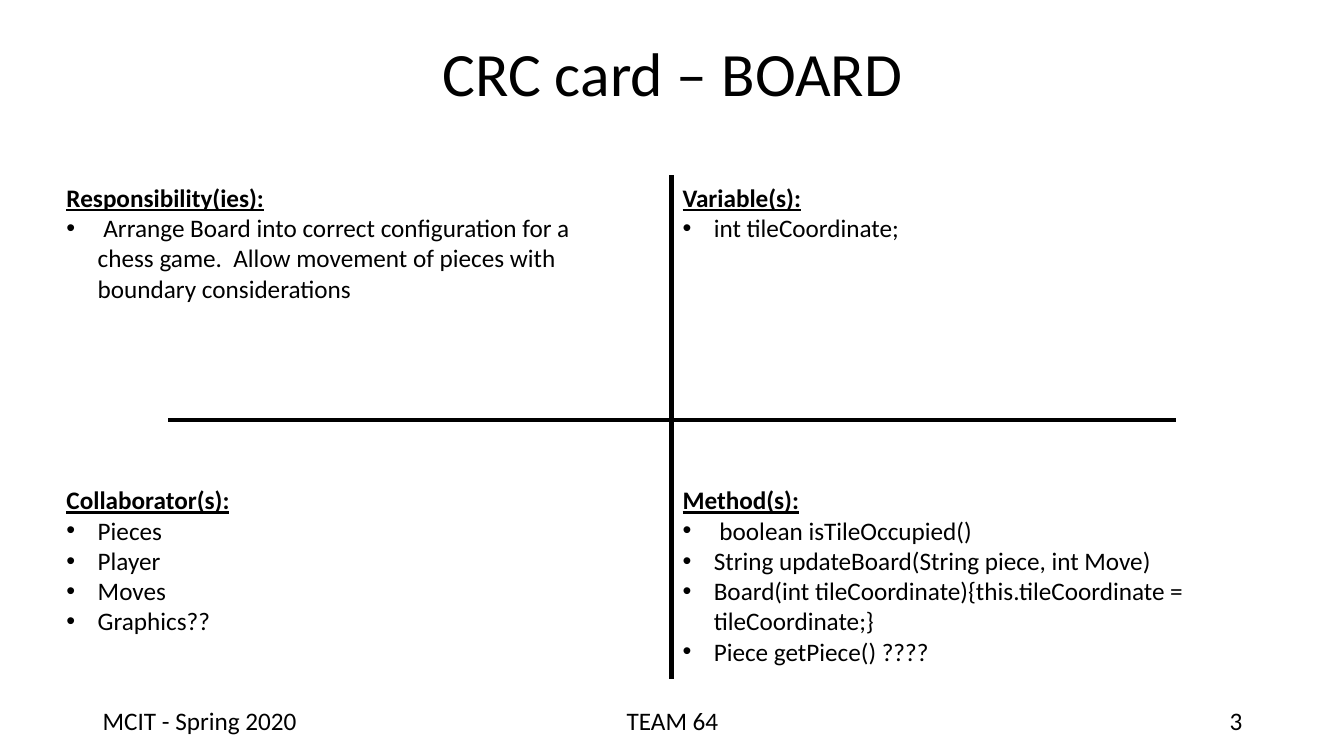
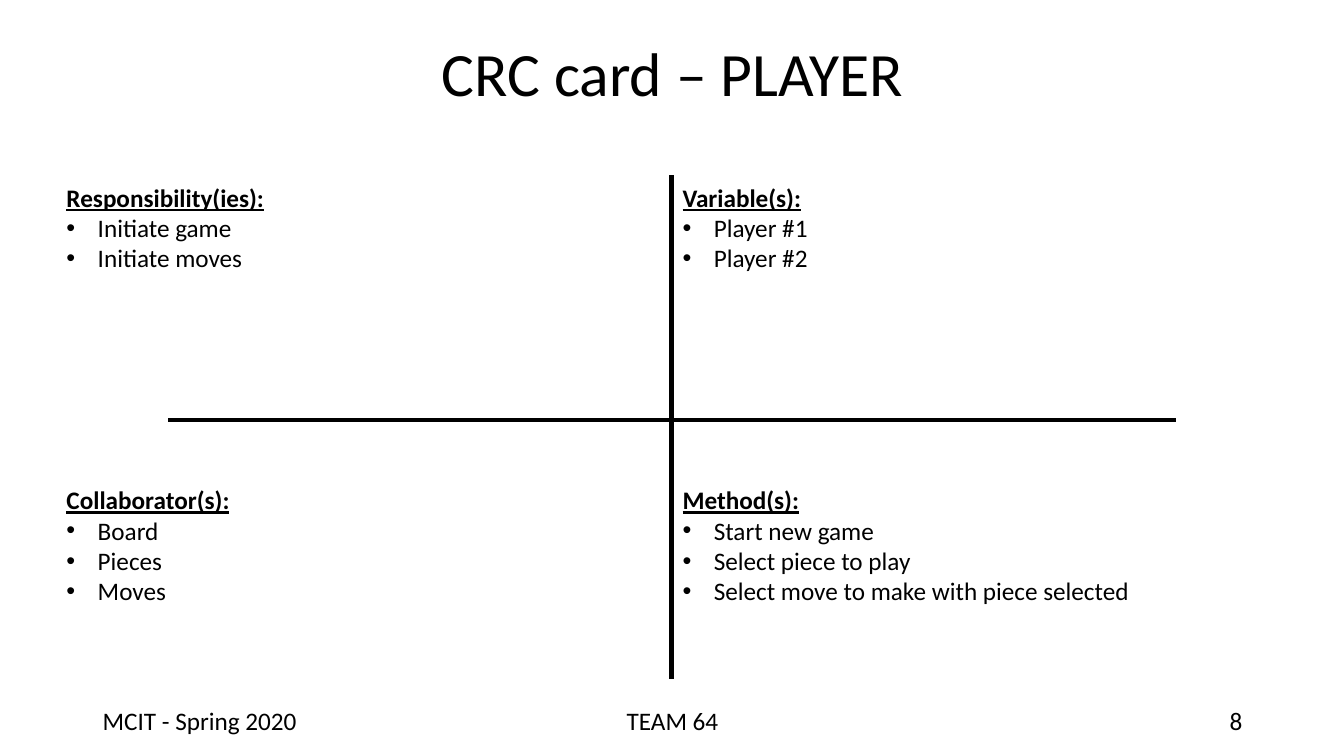
import pptx
import pptx.dml.color
import pptx.enum.shapes
import pptx.enum.text
import pptx.oxml.ns
import pptx.util
from lxml import etree

Inches = pptx.util.Inches
Align = pptx.enum.text.PP_ALIGN
Anchor = pptx.enum.text.MSO_ANCHOR
qn = pptx.oxml.ns.qn

INK = "000000"
FONT = "Calibri"
BODY_SIZE = 18
TITLE_SIZE = 44
BULLET_INDENT = Inches(0.31)


def color(hex_code):
    """Turn a hex string into a colour."""
    return pptx.dml.color.RGBColor.from_string(hex_code)


def add_text(page, place, lines, size=BODY_SIZE, align=Align.LEFT, side_inset=0.1):
    """Add a text box with one paragraph per line and return it."""
    box = page.shapes.add_textbox(*(Inches(length) for length in place))
    frame = box.text_frame
    frame.word_wrap = True
    frame.margin_left = frame.margin_right = Inches(side_inset)
    frame.margin_top = frame.margin_bottom = Inches(0.05)
    frame.text = "\n".join(lines)
    for para in frame.paragraphs:
        para.alignment = align
        for span in para.runs:
            span.font.name = FONT
            span.font.size = pptx.util.Pt(size)
            span.font.color.rgb = color(INK)
    return box


# Shared layout: left, top, width, height
title_place = (0.92, 0.03, 11.5, 1.45)
cross_lines = [(6.66, 1.74, 6.66, 6.74), (1.67, 4.17, 11.66, 4.17)]
quadrants = {
    "Responsibility(ies):": (0.61, 1.76),
    "Collaborator(s):": (0.61, 4.76),
    "Variable(s):": (6.72, 1.76),
    "Method(s):": (6.72, 4.76),
}
quadrant_size = (5.5, 2)

# Class name, page number, and the entries of each quadrant in order
cards = [
    ("BOARD", 3, [
        [" Arrange Board into correct configuration for a chess game.  "
         "Allow movement of pieces with boundary considerations"],
        ["Pieces", "Player", "Moves", "Graphics??"],
        ["int tileCoordinate;"],
        [" boolean isTileOccupied()",
         "String updateBoard(String piece, int Move)",
         "Board(int tileCoordinate){this.tileCoordinate = tileCoordinate;}",
         "Piece getPiece() ????"],
    ]),
    ("PLAYER", 8, [
        ["Initiate game", "Initiate moves"],
        ["Board", "Pieces", "Moves"],
        ["Player #1", "Player #2"],
        ["Start new game", "Select piece to play",
         "Select move to make with piece selected"],
    ]),
]

deck = pptx.Presentation()
deck.slide_width = Inches(13.33)
deck.slide_height = Inches(7.5)

for class_name, page_number, quadrant_entries in cards:
    page = deck.slides.add_slide(deck.slide_layouts[6])

    title = add_text(page, title_place, [f"CRC card – {class_name}"],
                     TITLE_SIZE, Align.CENTER)
    title.text_frame.vertical_anchor = Anchor.MIDDLE
    title.text_frame.paragraphs[0].line_spacing = 0.9

    for ends in cross_lines:
        line = page.shapes.add_connector(
            pptx.enum.shapes.MSO_CONNECTOR.STRAIGHT,
            *(Inches(length) for length in ends))
        line.line.color.rgb = color(INK)
        line.line.width = pptx.util.Pt(3)
        etree.SubElement(line._element.spPr, qn("a:effectLst"))

    footers = [
        ("MCIT - Spring 2020", 0.92, 3, Align.LEFT),
        ("TEAM 64", 4.42, 4.5, Align.CENTER),
        (str(page_number), 9.42, 3, Align.RIGHT),
    ]
    for words, left, width, align in footers:
        add_text(page, (left, 6.95, width, 0.4), [words], align=align)

    for (heading, corner), entries in zip(quadrants.items(), quadrant_entries):
        box = add_text(page, corner + quadrant_size, [heading, *entries],
                       side_inset=0.05)
        heading_para, *entry_paras = box.text_frame.paragraphs
        heading_font = heading_para.runs[0].font
        heading_font.bold = heading_font.underline = True
        for para in entry_paras:
            properties = para._p.get_or_add_pPr()
            properties.set("marL", str(BULLET_INDENT))
            properties.set("indent", str(-BULLET_INDENT))
            etree.SubElement(properties, qn("a:buFont"), typeface="Arial")
            etree.SubElement(properties, qn("a:buChar"), char="•")

deck.save("out.pptx")
